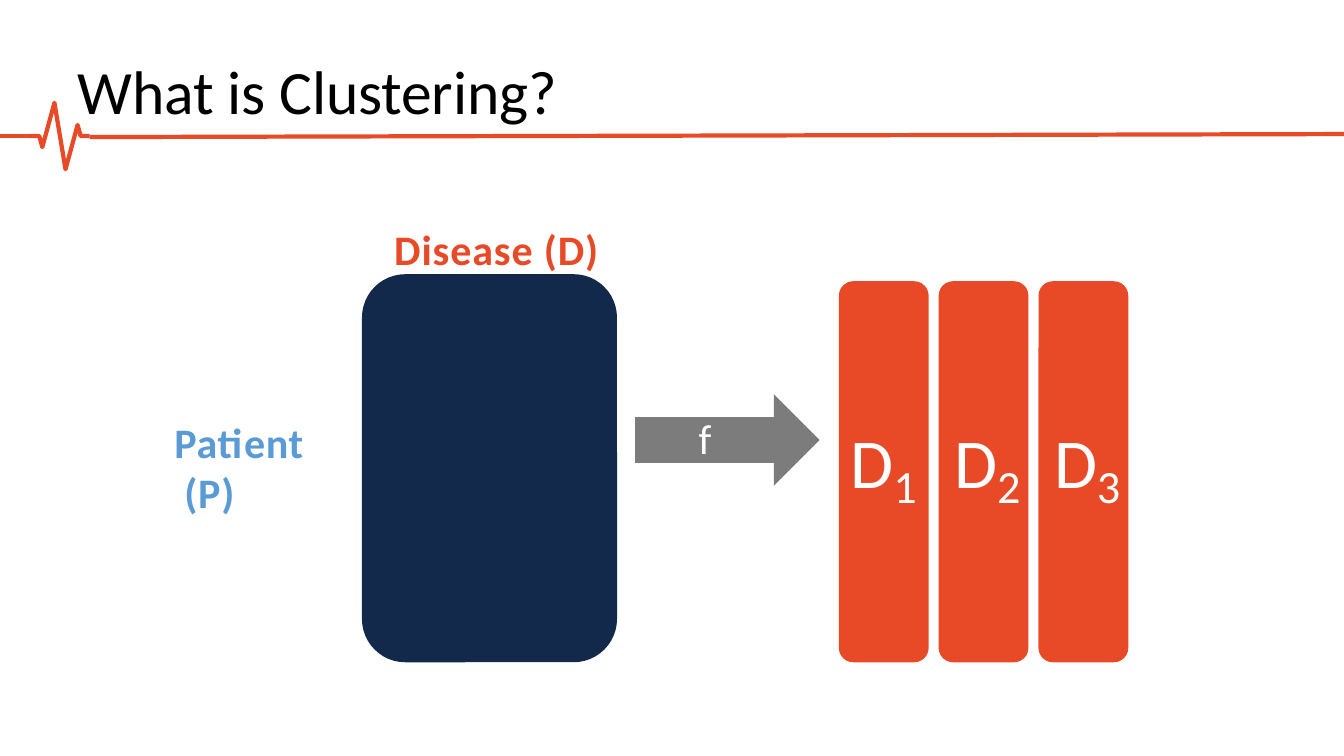
from dataclasses import dataclass
from lxml.etree import SubElement
from pptx import Presentation
from pptx.dml.color import RGBColor
from pptx.enum.shapes import MSO_CONNECTOR, MSO_SHAPE
from pptx.oxml.ns import qn
from pptx.util import Inches, Pt


@dataclass(frozen=True)
class Theme:
    font: str = "Calibri"
    red: str = "E84A27"
    navy: str = "13294B"
    blue: str = "5B9BD5"
    gray: str = "7C7C7C"
    white: str = "FFFFFF"
    black: str = "000000"
    title: int = 44
    label: int = 30
    group: int = 50
    index: int = 33
    line: int = 3


THEME = Theme()


def add_block(slide, kind, box, color, round_by=None):
    block = slide.shapes.add_shape(kind, *map(Inches, box))
    block.shadow.inherit = False
    block.fill.solid()
    block.fill.fore_color.rgb = RGBColor.from_string(color)
    block.line.fill.background()
    if round_by is not None:
        block.adjustments[0] = round_by
    return block


def add_label(slide, box, lines, size, color, bold=False, gap=0, tabs=(), indent=0):
    frame = slide.shapes.add_textbox(*map(Inches, box)).text_frame
    frame.word_wrap = True
    frame.margin_left = frame.margin_right = frame.margin_bottom = 0
    frame.margin_top = Inches(0.01)
    for row, text in enumerate(lines):
        para = frame.add_paragraph() if row else frame.paragraphs[0]
        para.space_before = Pt(0 if row else 1)
        props = para._p.get_or_add_pPr()
        props.set("marL", str(Inches(0.01 + row * indent)))
        if tabs:
            stops = SubElement(props, qn("a:tabLst"))
            for tab in tabs:
                SubElement(stops, qn("a:tab"), pos=str(Inches(tab)), algn="l")
        run = para.add_run()
        run.text = text
        run.font.name = THEME.font
        run.font.size = Pt(size)
        run.font.bold = bold
        run.font.color.rgb = RGBColor.from_string(color)
        run._r.get_or_add_rPr().set("spc", str(round(gap * 100)))


def set_line(shape):
    shape.line.color.rgb = RGBColor.from_string(THEME.red)
    shape.line.width = Pt(THEME.line)


def add_rule(slide, start, end):
    ends = map(Inches, (*start, *end))
    rule = slide.shapes.add_connector(MSO_CONNECTOR.STRAIGHT, *ends)
    set_line(rule)
    SubElement(rule._element.spPr, qn("a:effectLst"))


def add_header(slide, box):
    left, top, width, height = box
    add_label(slide, (left + 0.76, top, 6.18, 0.76), ["What is Clustering?"],
              THEME.title, THEME.black, gap=-0.1)
    base = top + 0.83
    beat = [(0.31, 0), (0.39, 0), (0.42, 0.11), (0.54, -0.33),
            (0.65, 0.33), (0.77, -0.11), (0.8, 0), (0.89, 0)]
    points = [(Inches(left + x), Inches(base + y)) for x, y in beat]
    path = slide.shapes.build_freeform(*points[0])
    path.add_line_segments(points[1:], close=False)
    pulse = path.convert_to_shape()
    pulse.shadow.inherit = False
    pulse.fill.background()
    set_line(pulse)
    add_rule(slide, (left + 0.89, base + 0.01), (left + width, base - 0.02))
    add_rule(slide, (left, base), (left + 0.31, base))


def add_matrix(slide, box):
    left, top, width, height = box
    add_block(slide, MSO_SHAPE.ROUNDED_RECTANGLE, box, THEME.navy, 0.17)
    add_label(slide, (left + 0.31, top - 0.51, 2.08, 0.53), ["Disease (D)"],
              THEME.label, THEME.red, True, 0.65)
    add_label(slide, (left - 1.87, top + 1.4, 1.33, 1.03), ["Patient", "(P)"],
              THEME.label, THEME.blue, True, 0.55, indent=0.1)


def add_arrow(slide, box):
    left, top, width, height = box
    add_block(slide, MSO_SHAPE.RIGHT_ARROW, box, THEME.gray)
    add_label(slide, (left + 0.62, top + 0.17, 0.43, 0.53), ["f"],
              THEME.label, THEME.white)


def add_groups(slide, box):
    left, top, width, height = box
    count, gap = 3, 0.1
    bar = (width - gap * (count - 1)) / count
    for i in range(count):
        spot = (left + i * (bar + gap), top, bar, height)
        add_block(slide, MSO_SHAPE.ROUNDED_RECTANGLE, spot, THEME.red, 0.16)
    tabs = (1.03, 2.02)
    add_label(slide, (left + 0.11, top + 1.35, 2.46, 0.86),
              ["\t".join("D" * count)], THEME.group, THEME.white, tabs=tabs)
    add_label(slide, (left + 0.53, top + 1.74, 2.27, 0.58),
              ["\t".join(str(i + 1) for i in range(count))],
              THEME.index, THEME.white, tabs=tabs)


def main():
    deck = Presentation()
    deck.slide_width, deck.slide_height = Inches(13.33), Inches(7.5)
    slide = deck.slides.add_slide(deck.slide_layouts[6])
    add_groups(slide, (8.32, 2.79, 2.87, 3.78))
    add_matrix(slide, (3.59, 2.72, 2.53, 3.85))
    add_arrow(slide, (6.3, 3.91, 1.83, 0.91))
    add_header(slide, (0, 0.52, 13.33, 1.16))
    deck.save("out.pptx")


if __name__ == "__main__":
    main()
